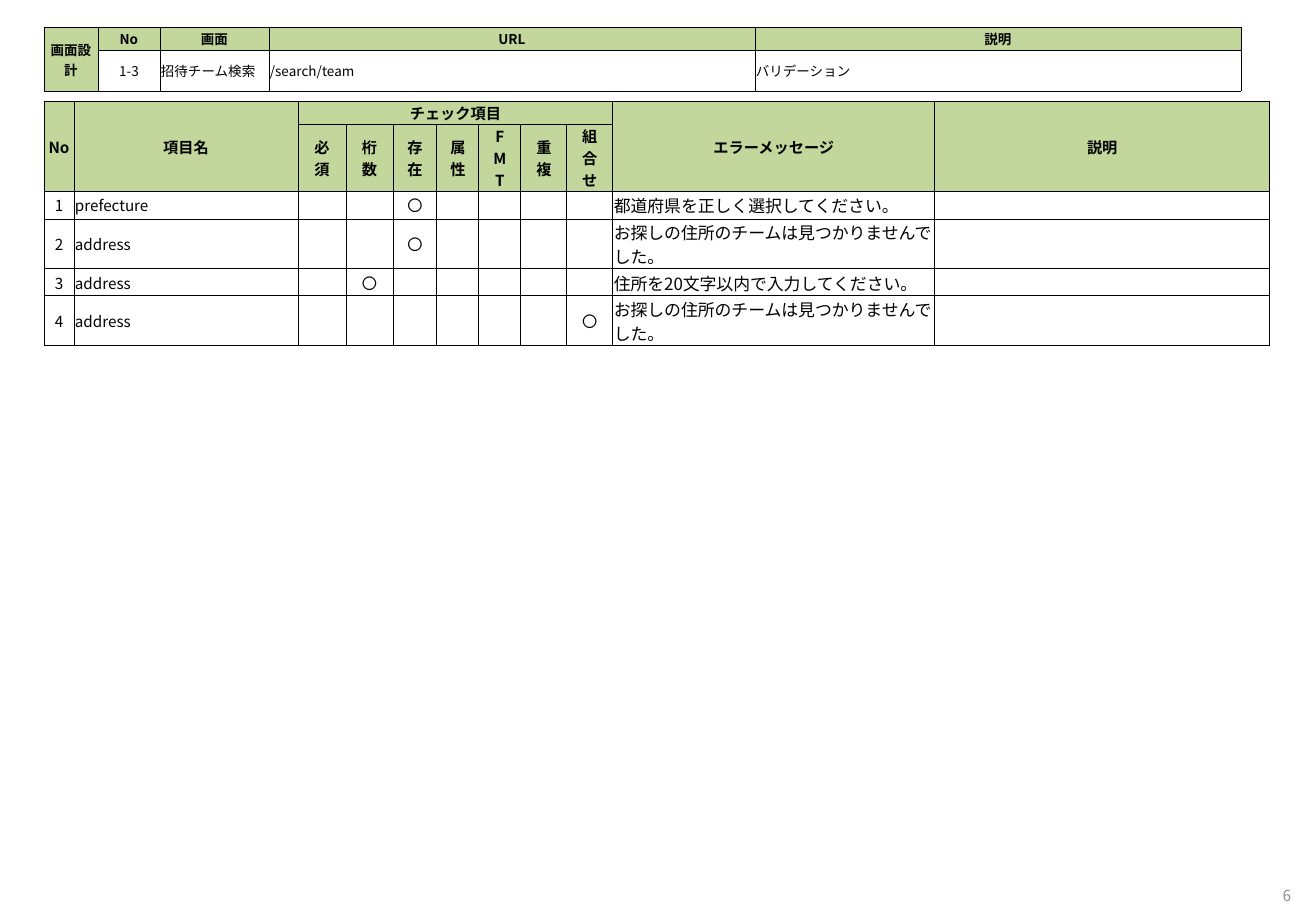
"""Build the validation design slide for the team search screen."""
from dataclasses import dataclass, field

from lxml import etree
from pptx import Presentation
from pptx.dml.color import RGBColor
from pptx.enum.text import MSO_ANCHOR, PP_ALIGN
from pptx.oxml.ns import qn
from pptx.util import Pt

PX = 7526
LEFT, CENTER, RIGHT = PP_ALIGN.LEFT, PP_ALIGN.CENTER, PP_ALIGN.RIGHT
MIDDLE = MSO_ANCHOR.MIDDLE
COLORS = {"header": "C3D69B", "line": "000000", "text": "000000", "page": "8C8C8C"}
JP, KR = "Noto Sans CJK JP", "Noto Sans CJK KR"
CHECKS = ["必\n須", "桁\n数", "存\n在", "属\n性", "F\nM\nT", "重\n複", "組\n合\nせ"]
NOT_FOUND = "お探しの住所のチームは見つかりませんでした。"


@dataclass
class Grid:
    """A bordered table with green header rows."""
    left: int
    top: int
    widths: list[int]
    heights: list[int]
    rows: list[list[str]]
    size: int
    header_rows: int
    left_cols: set[int]
    spans: list[tuple[int, int, int, int]]
    col_sizes: dict[int, int] = field(default_factory=dict)


@dataclass
class Check:
    """One validation rule and the index of its check column."""
    item: str
    check: int
    message: str


RULES = [
    Check("prefecture", 2, "都道府県を正しく選択してください。"),
    Check("address", 2, NOT_FOUND),
    Check("address", 1, "住所を20文字以内で入力してください。"),
    Check("address", 6, NOT_FOUND),
]


def rule_row(no: int, rule: Check) -> list[str]:
    """Return the cell texts of one rule."""
    marks = ["〇" if i == rule.check else "" for i in range(len(CHECKS))]
    return [str(no), rule.item, *marks, rule.message, ""]


SCREEN = Grid(
    44, 27, [54, 62, 109, 486, 486], [23, 41],
    [["画面設計", "No", "画面", "URL", "説明"],
     ["", "1-3", "招待チーム検索", "/search/team", "バリデーション"]],
    size=8, header_rows=1, left_cols={2, 3, 4}, spans=[(0, 0, 1, 0)],
)
VALIDATION = Grid(
    44, 101, [30, 224, 48, 47, 44, 42, 42, 46, 46, 322, 335], [23, 67, 28, 50, 27, 50],
    [["No", "項目名", "チェック項目", *[""] * 6, "エラーメッセージ", "説明"],
     ["", "", *CHECKS, "", ""],
     *[rule_row(no, rule) for no, rule in enumerate(RULES, 1)]],
    size=9, header_rows=2, left_cols={1, 9, 10},
    spans=[(0, 0, 1, 0), (0, 1, 1, 1), (0, 2, 0, 8), (0, 9, 1, 9), (0, 10, 1, 10)],
    col_sizes={9: 10},
)


def add_text(p, text: str, size: int, font: str, color: str, bold: bool = False) -> None:
    """Add one run, or size the empty paragraph when there is no text."""
    if not text:
        etree.SubElement(p._p, qn("a:endParaRPr"), sz=str(size * 100))
        return
    r = p.add_run()
    r.text = text
    r.font.size, r.font.bold, r.font.name = Pt(size), bold, font
    r.font.color.rgb = RGBColor.from_string(COLORS[color])
    rPr = r._r.get_or_add_rPr()
    rPr.set("lang", "ja-JP")
    etree.SubElement(rPr, qn("a:ea"), typeface=font)


def add_borders(cell) -> None:
    """Draw a thin line on all four sides of a cell."""
    tcPr = cell._tc.get_or_add_tcPr()
    for side in ("lnL", "lnR", "lnT", "lnB"):
        ln = etree.SubElement(tcPr, qn(f"a:{side}"), w=str(Pt(0.5)))
        fill = etree.SubElement(ln, qn("a:solidFill"))
        etree.SubElement(fill, qn("a:srgbClr"), val=COLORS["line"])


def add_grid(s, grid: Grid) -> None:
    """Draw a grid as a table."""
    tbl = s.shapes.add_table(
        len(grid.heights), len(grid.widths), grid.left * PX, grid.top * PX,
        sum(grid.widths) * PX, sum(grid.heights) * PX).table
    tbl.first_row = tbl.horz_banding = False
    for col, width in zip(tbl.columns, grid.widths):
        col.width = width * PX
    for row, height in zip(tbl.rows, grid.heights):
        row.height = height * PX
    for i, texts in enumerate(grid.rows):
        header = i < grid.header_rows
        for j, text in enumerate(texts):
            cell = tbl.cell(i, j)
            cell.margin_left = cell.margin_right = cell.margin_top = PX
            cell.margin_bottom = 0
            cell.vertical_anchor = MIDDLE
            add_borders(cell)
            if header:
                cell.fill.solid()
                cell.fill.fore_color.rgb = RGBColor.from_string(COLORS["header"])
            else:
                cell.fill.background()
            size = grid.size if header else grid.col_sizes.get(j, grid.size)
            tf = cell.text_frame
            for n, line in enumerate(text.split("\n")):
                p = tf.add_paragraph() if n else tf.paragraphs[0]
                p.alignment = LEFT if j in grid.left_cols and not header else CENTER
                add_text(p, line, size, JP, "text", header)
    for top, left, bottom, right in grid.spans:
        tbl.cell(top, left).merge(tbl.cell(bottom, right))


def add_page_number(s, number: str) -> None:
    """Write the page number in the bottom right corner."""
    tf = s.shapes.add_textbox(1225 * PX, 885 * PX, 78 * PX, 20 * PX).text_frame
    tf.word_wrap = True
    tf.margin_top = tf.margin_bottom = 0
    tf.vertical_anchor = MIDDLE
    p = tf.paragraphs[0]
    p.alignment = RIGHT
    add_text(p, number, 9, KR, "page")


def main() -> None:
    """Build and save the slide."""
    prs = Presentation()
    prs.slide_width, prs.slide_height = 1316 * PX, 911 * PX
    s = prs.slides.add_slide(prs.slide_layouts[6])
    add_page_number(s, "6")
    for grid in (VALIDATION, SCREEN):
        add_grid(s, grid)
    prs.save("out.pptx")


if __name__ == "__main__":
    main()
